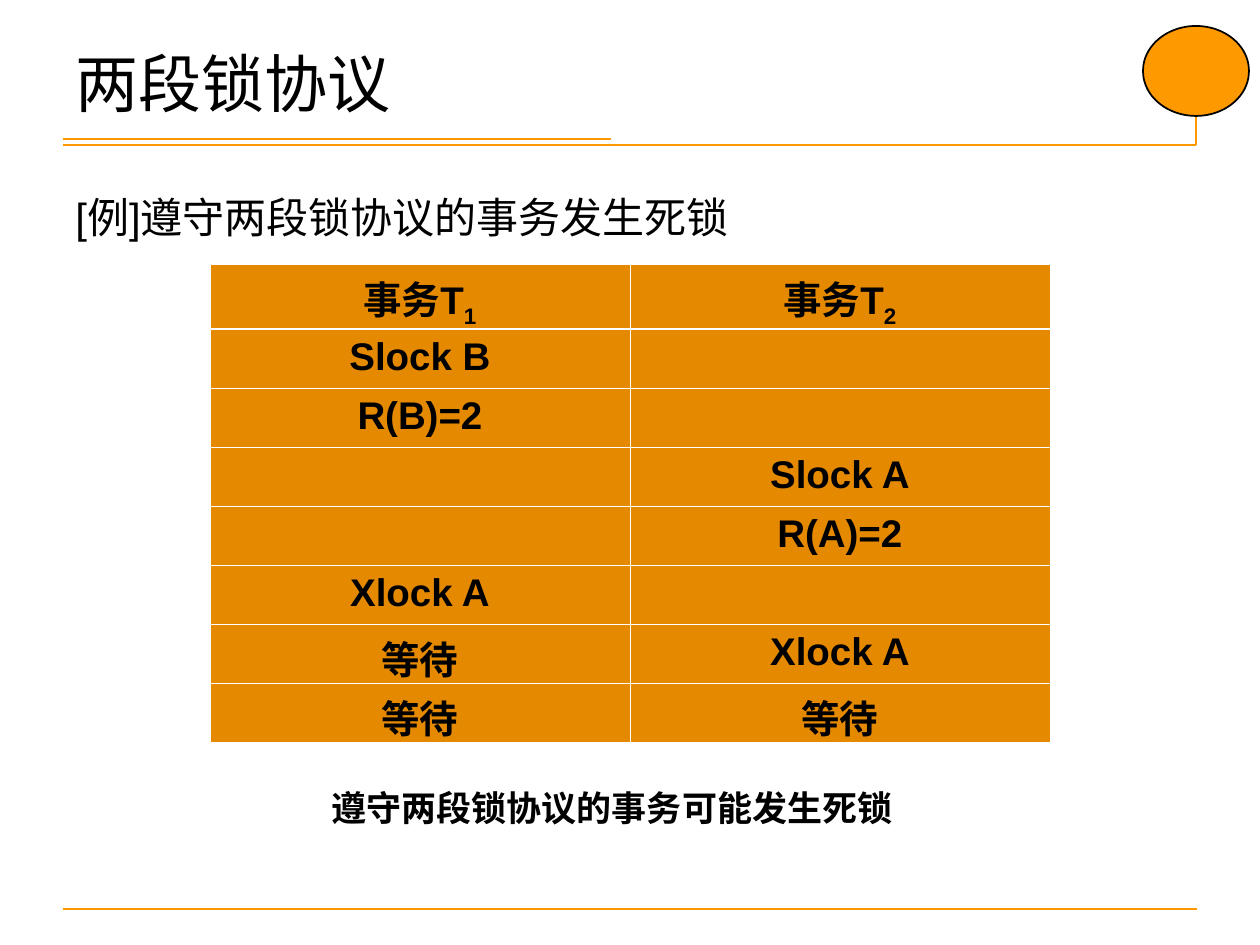
from lxml.etree import SubElement
from pptx import Presentation
from pptx.dml.color import RGBColor
from pptx.enum.shapes import MSO_CONNECTOR, MSO_SHAPE
from pptx.enum.text import PP_ALIGN
from pptx.oxml.ns import qn
from pptx.util import Pt

PX = 914400 / 126
COLORS = {
    "ink": "000000",
    "accent": "FF9900",
    "cell": "E58A00",
    "grid": "FFFFFF",
}


def px(length):
    return round(length * PX)


def rgb(name):
    return RGBColor.from_string(COLORS[name])


class SlideBuilder:
    """Holds the style and the slide being drawn."""

    def __init__(self, slide, font="Arial"):
        self.shapes = slide.shapes
        self.font = font

    def style(self, paragraph, size, bold=False, font=None, align=PP_ALIGN.LEFT):
        paragraph.alignment = align
        for run in paragraph.runs:
            run.font.name = font or self.font
            run.font.size = Pt(size)
            run.font.bold = bold
            run.font.color.rgb = rgb("ink")

    def rule(self, x1, y1, x2, y2):
        line = self.shapes.add_connector(
            MSO_CONNECTOR.STRAIGHT, px(x1), px(y1), px(x2), px(y2))
        line.line.color.rgb = rgb("accent")
        line.line.width = Pt(1.5)
        SubElement(line._element.spPr, qn("a:effectLst"))

    def oval(self, x, y, width, height):
        oval = self.shapes.add_shape(MSO_SHAPE.OVAL, px(x), px(y), px(width), px(height))
        oval.shadow.inherit = False
        oval.fill.solid()
        oval.fill.fore_color.rgb = rgb("accent")
        oval.line.color.rgb = rgb("ink")
        oval.line.width = Pt(1)

    def text(self, x, y, width, height, words, size, wrap=True, **style):
        frame = self.shapes.add_textbox(px(x), px(y), px(width), px(height)).text_frame
        frame.text = words
        frame.word_wrap = wrap
        self.style(frame.paragraphs[0], size, **style)

    def cell(self, cell, words, subscript, borders):
        paragraph = cell.text_frame.paragraphs[0]
        paragraph.text = words
        if subscript:
            low = paragraph.add_run()
            low.text = subscript
            low.font._element.set("baseline", "-25000")
        self.style(paragraph, 22, bold=True, align=PP_ALIGN.CENTER)
        properties = cell._tc.get_or_add_tcPr()
        for side, points in borders.items():
            border = SubElement(properties, qn(f"a:ln{side}"), w=str(Pt(points)))
            fill = SubElement(border, qn("a:solidFill"))
            SubElement(fill, qn("a:srgbClr"), val=COLORS["grid"])
        cell.fill.solid()
        cell.fill.fore_color.rgb = rgb("cell")

    def table(self, x, y, column_width, header_height, row_height, header, rows):
        """Header entries are (words, subscript) pairs; row entries are plain words."""
        entries = [header] + [[(words, "") for words in row] for row in rows]
        heights = [header_height] + [row_height] * len(rows)
        table = self.shapes.add_table(
            len(entries), len(header), px(x), px(y),
            px(column_width * len(header)), px(sum(heights))).table
        table.first_row = table.horz_banding = False
        for column in table.columns:
            column.width = px(column_width)
        for index, (entry, height) in enumerate(zip(entries, heights)):
            table.rows[index].height = px(height)
            borders = {
                "L": 0.45,
                "R": 0.45,
                "T": 1.47 if index == 1 else 0.45,
                "B": 1.47 if index == 0 else 0.45,
            }
            for column, (words, subscript) in enumerate(entry):
                self.cell(table.cell(index, column), words, subscript, borders)


def main():
    presentation = Presentation()
    presentation.slide_width, presentation.slide_height = px(1260), px(945)
    page = SlideBuilder(presentation.slides.add_slide(presentation.slide_layouts[6]))

    page.rule(63, 909, 1197, 909)
    page.rule(63, 145, 1196, 145)
    page.rule(1196, 35, 1196, 145)
    page.oval(1143, 26, 106, 90)
    page.rule(63, 139, 611, 139)

    page.text(63, 38, 1134, 107, "两段锁协议", 36, font="Times New Roman")
    page.text(63, 185, 1134, 704, "[例]遵守两段锁协议的事务发生死锁", 24)
    page.text(272, 780, 688, 55, "遵守两段锁协议的事务可能发生死锁 ", 20, wrap=False,
              bold=True, font="Times New Roman", align=PP_ALIGN.CENTER)

    page.table(
        210, 264, 420, 64, 59,
        header=[("事务T", "1"), ("事务T", "2")],
        rows=[
            ("Slock B", ""),
            ("R(B)=2", ""),
            ("", "Slock A"),
            ("", "R(A)=2"),
            ("Xlock A", ""),
            ("等待", "Xlock A"),
            ("等待", "等待"),
        ])
    presentation.save("out.pptx")


if __name__ == "__main__":
    main()
